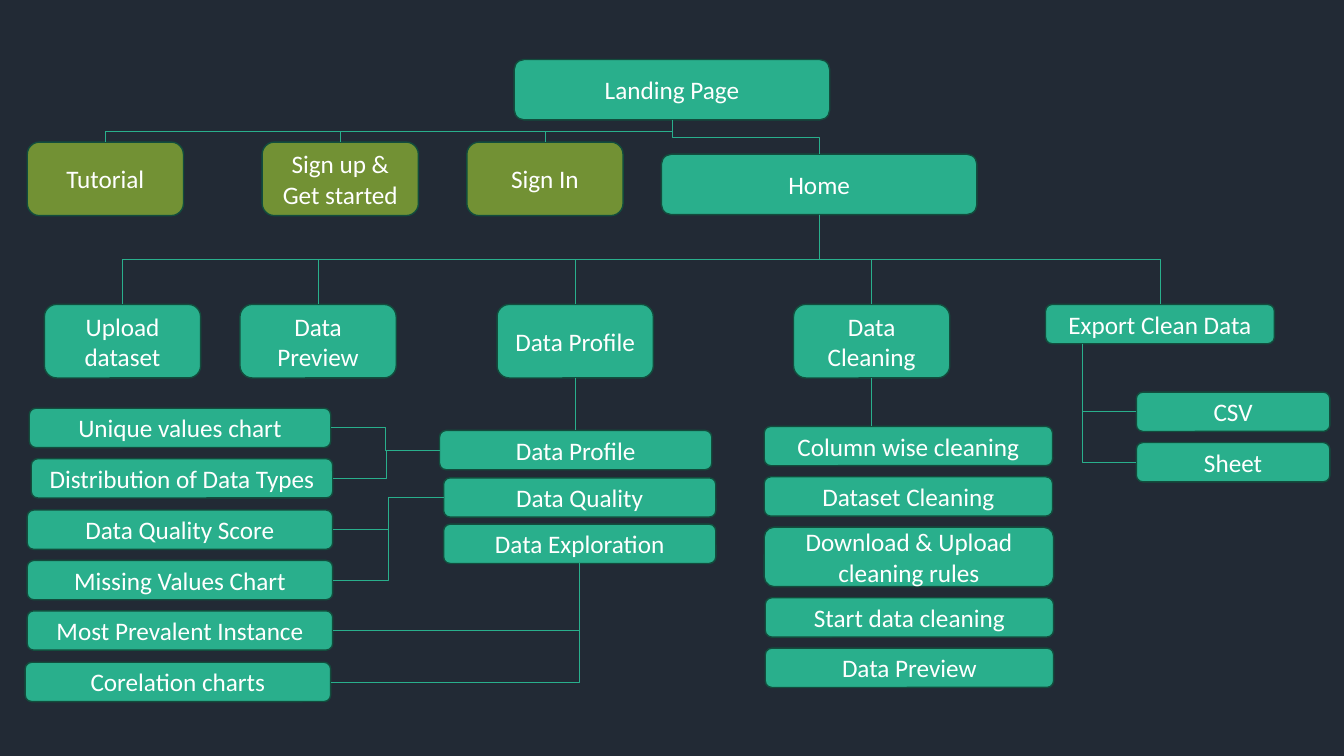
from pptx import Presentation
from pptx.dml.color import RGBColor
from pptx.enum.shapes import MSO_CONNECTOR, MSO_SHAPE
from pptx.enum.text import MSO_ANCHOR, PP_ALIGN
from pptx.oxml.ns import qn
from pptx.util import Inches, Pt
from lxml import etree

ROUND = MSO_SHAPE.ROUNDED_RECTANGLE
ELBOW = MSO_CONNECTOR.ELBOW
MIDDLE = MSO_ANCHOR.MIDDLE
CENTER = PP_ALIGN.CENTER
NAVY = RGBColor(0x22, 0x2A, 0x35)
TEAL = RGBColor(0x29, 0xAF, 0x8C)
OLIVE = RGBColor(0x72, 0x91, 0x34)
EDGE = RGBColor(0x12, 0x4D, 0x3D)
WHITE = RGBColor(0xFF, 0xFF, 0xFF)
WIDE = (3.13, 0.6)
CARD = (1.55, 0.73)
BAR = 0.39


def add_node(slide, text, left, top, size, fill=TEAL):
    node = slide.shapes.add_shape(ROUND, Inches(left), Inches(top),
                                  Inches(size[0]), Inches(size[1]))
    node.shadow.inherit = False
    node.fill.solid()
    node.fill.fore_color.rgb = fill
    node.line.color.rgb = EDGE
    node.line.width = Pt(1)
    frame = node.text_frame
    frame.text = text
    frame.word_wrap = True
    frame.vertical_anchor = MIDDLE
    para = frame.paragraphs[0]
    para.alignment = CENTER
    font = para.runs[0].font
    font.name = "Calibri"
    font.size = Pt(18)
    font.color.rgb = WHITE
    return node


def add_bars(slide, bars, width):
    return [add_node(slide, text, left, top, (width, BAR)) for text, left, top in bars]


def top_of(node):
    return node.left + node.width // 2, node.top


def foot_of(node):
    return node.left + node.width // 2, node.top + node.height


def left_of(node):
    return node.left, node.top + node.height // 2


def right_of(node):
    return node.left + node.width, node.top + node.height // 2


def add_elbow(slide, start, end):
    link = slide.shapes.add_connector(ELBOW, *start, *end)
    link.line.color.rgb = TEAL
    link.line.width = Pt(0.5)
    etree.SubElement(link._element.spPr, qn("a:effectLst"))
    return link


def add_drop(slide, start, end, corner=False):
    mid_x, mid_y = (start[0] + end[0]) // 2, (start[1] + end[1]) // 2
    half_x, half_y = (end[0] - start[0]) // 2, (end[1] - start[1]) // 2
    link = add_elbow(slide, (mid_x - half_y, mid_y + half_x),
                     (mid_x + half_y, mid_y - half_x))
    props = link._element.spPr
    props.find(qn("a:xfrm")).set("rot", str(90 * 60000))
    if corner:
        props.find(qn("a:prstGeom")).set("prst", "bentConnector2")


def add_tree(slide):
    landing = add_node(slide, "Landing Page", 5.1, 0.59, WIDE)
    home = add_node(slide, "Home", 6.56, 1.53, WIDE)
    doors = [add_node(slide, text, left, 1.41, CARD, OLIVE) for text, left in (
        ("Tutorial", 0.27), ("Sign up & Get started", 2.6), ("Sign In", 4.63))]
    cards = [add_node(slide, text, left, 3.02, CARD) for text, left in (
        ("Upload dataset", 0.44), ("Data Preview", 2.38),
        ("Data Profile", 4.93), ("Data Cleaning", 7.87))]
    export = add_node(slide, "Export Clean Data", 10.37, 3.02, (2.27, BAR))
    for node in doors + [home]:
        add_drop(slide, foot_of(landing), top_of(node))
    for node in cards + [export]:
        add_drop(slide, foot_of(home), top_of(node))
    return cards[2], cards[3], export


def add_profile(slide, card):
    profile, quality, explore = add_bars(slide, (
        ("Data Profile", 4.36, 4.27), ("Data Quality", 4.4, 4.74),
        ("Data Exploration", 4.4, 5.2)), 2.7)
    charts = add_bars(slide, (
        ("Unique values chart", 0.29, 4.05),
        ("Distribution of Data Types", 0.31, 4.55)), 2.99)
    charts += add_bars(slide, (
        ("Data Quality Score", 0.27, 5.06), ("Missing Values Chart", 0.27, 5.56),
        ("Most Prevalent Instance", 0.27, 6.06), ("Corelation charts", 0.25, 6.57)), 3.03)
    add_drop(slide, foot_of(card), (foot_of(card)[0], profile.top))
    for parent, group in ((profile, charts[:2]), (quality, charts[2:4])):
        for chart in group:
            add_elbow(slide, left_of(parent), right_of(chart))
    for chart in charts[4:]:
        add_drop(slide, foot_of(explore), right_of(chart), True)


def add_clean(slide, card):
    first = add_bars(slide, (
        ("Column wise cleaning", 7.58, 4.23), ("Dataset Cleaning", 7.58, 4.73),
        ("Start data cleaning", 7.59, 5.93), ("Data Preview", 7.59, 6.43)), 2.86)[0]
    add_node(slide, "Download & Upload cleaning rules", 7.58, 5.23, (2.87, 0.59))
    add_drop(slide, foot_of(card), (foot_of(card)[0], first.top))


def add_export(slide, export):
    stem = (Inches(10.74), foot_of(export)[1])
    for node in add_bars(slide, (("CSV", 11.27, 3.89), ("Sheet", 11.27, 4.39)), 1.92):
        add_drop(slide, stem, left_of(node), True)


def main():
    deck = Presentation()
    deck.slide_width = Inches(13.33)
    deck.slide_height = Inches(7.5)
    slide = deck.slides.add_slide(deck.slide_layouts[6])
    slide.background.fill.solid()
    slide.background.fill.fore_color.rgb = NAVY
    profile, clean, export = add_tree(slide)
    add_profile(slide, profile)
    add_clean(slide, clean)
    add_export(slide, export)
    deck.save("out.pptx")


main()
